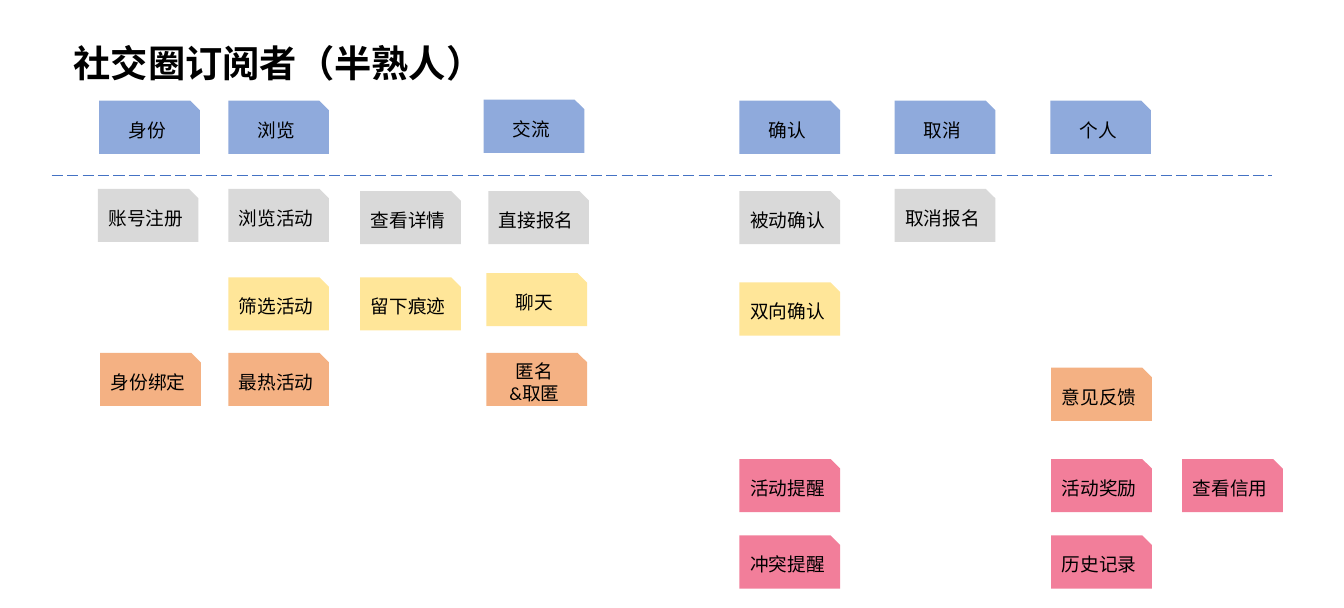
from pptx import Presentation
from pptx.dml.color import RGBColor
from pptx.enum.dml import MSO_LINE
from pptx.enum.shapes import MSO_CONNECTOR, MSO_SHAPE
from pptx.enum.text import MSO_ANCHOR, MSO_AUTO_SIZE, PP_ALIGN
from pptx.oxml.ns import qn
from pptx.util import Pt
from lxml import etree

FONT = "Calibri"
BLACK = "000000"
CARD_WIDTH, CARD_HEIGHT = 108, 57

# Each band: fill colour, then cards as (text, left, top) in points
BANDS = [
    ("8FAADC", [  # stages
        ("身份", 106.5, 108), ("浏览", 245, 108), ("交流", 519, 107),
        ("确认", 793.5, 108), ("取消", 960, 108), ("个人", 1127, 108)]),
    ("D9D9D9", [  # basic actions
        ("账号注册", 105, 202.5), ("浏览活动", 245, 202.5),
        ("查看详情", 386.5, 205), ("直接报名", 524, 205),
        ("被动确认", 793.5, 205), ("取消报名", 960, 202.5)]),
    ("FFE699", [  # further actions
        ("筛选活动", 245, 297.5), ("留下痕迹", 386.5, 297.5),
        ("聊天", 522, 293), ("双向确认", 793.5, 303)]),
    ("F4B183", [  # later additions
        ("身份绑定", 107.5, 378.5), ("最热活动", 245, 378.5),
        ("匿名\n&取匿", 522, 378.5), ("意见反馈", 1128, 394.5)]),
    ("F27E9A", [  # reminders and records
        ("活动提醒", 793.5, 492.5), ("活动奖励", 1128, 492.5),
        ("查看信用", 1268.5, 492.5),
        ("冲突提醒", 793.5, 574.5), ("历史记录", 1128, 574.5)]),
]


def color(value):
    return RGBColor.from_string(value)


def write_text(frame, text, size, bold=False, align=PP_ALIGN.LEFT):
    frame.word_wrap = True
    frame.text = text
    for para in frame.paragraphs:
        para.alignment = align
        para.font.name = FONT
        para.font.size = Pt(size)
        para.font.bold = bold
        para.font.color.rgb = color(BLACK)


def add_title(page, text):
    box = page.shapes.add_textbox(Pt(72), Pt(39.5), Pt(466), Pt(55.5))
    write_text(box.text_frame, text, 40, bold=True)
    box.text_frame.auto_size = MSO_AUTO_SIZE.SHAPE_TO_FIT_TEXT


def add_card(page, text, left, top, fill):
    card = page.shapes.add_shape(
        MSO_SHAPE.SNIP_1_RECTANGLE,
        Pt(left), Pt(top), Pt(CARD_WIDTH), Pt(CARD_HEIGHT))
    card.adjustments[0] = 0.18
    card.shadow.inherit = False
    card.fill.solid()
    card.fill.fore_color.rgb = color(fill)
    card.line.fill.background()
    card.text_frame.vertical_anchor = MSO_ANCHOR.MIDDLE
    write_text(card.text_frame, text, 20, align=PP_ALIGN.CENTER)


def add_divider(page, left, right, top):
    divider = page.shapes.add_connector(
        MSO_CONNECTOR.STRAIGHT, Pt(left), Pt(top), Pt(right), Pt(top))
    divider.line.color.rgb = color("4472C4")
    divider.line.width = Pt(1.5)
    divider.line.dash_style = MSO_LINE.LONG_DASH
    etree.SubElement(divider._element.spPr, qn("a:effectLst"))


def main():
    deck = Presentation()
    deck.slide_width, deck.slide_height = Pt(1442.16), Pt(652.32)
    page = deck.slides.add_slide(deck.slide_layouts[6])

    add_title(page, "社交圈订阅者（半熟人）")
    for fill, cards in BANDS:
        for text, left, top in cards:
            add_card(page, text, left, top, fill)
    # Line between the stages and their actions
    add_divider(page, 55.5, 1365, 188.5)

    deck.save("out.pptx")


if __name__ == "__main__":
    main()
